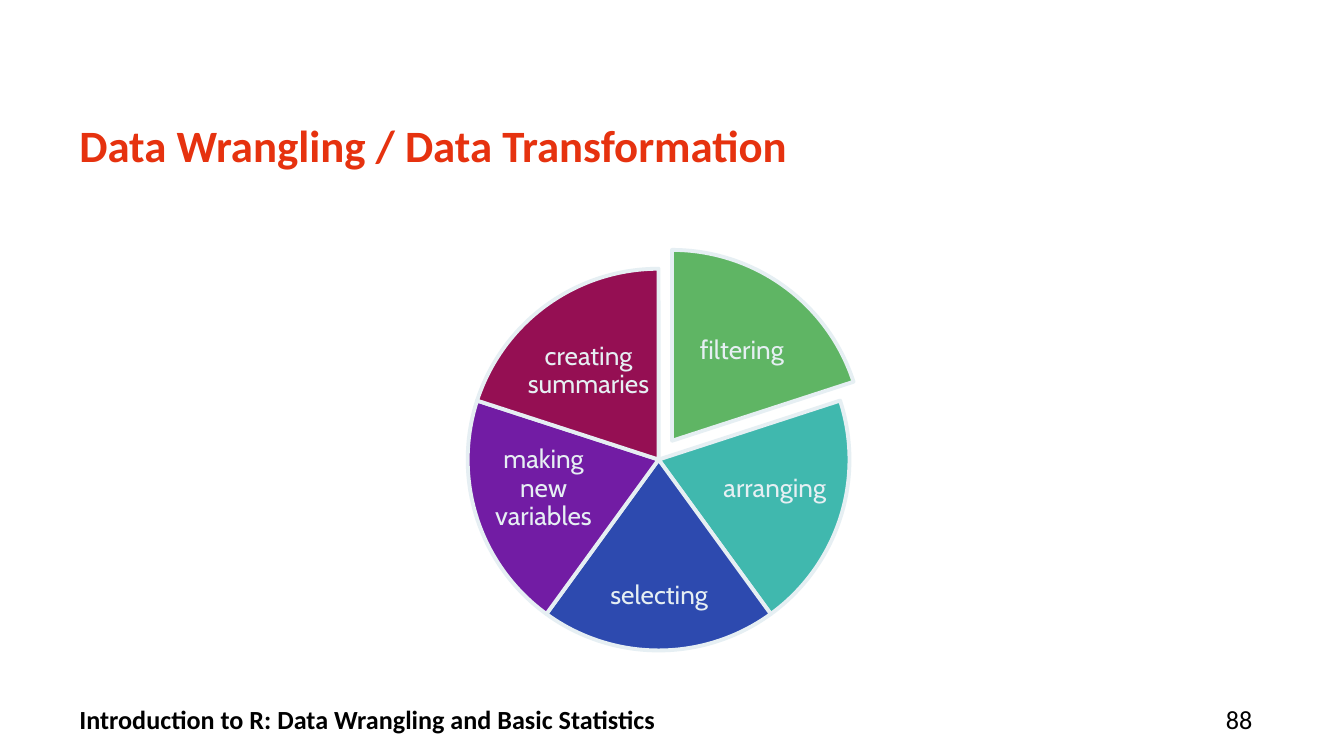
from pptx import Presentation
from pptx.dml.color import RGBColor
from pptx.enum.shapes import MSO_SHAPE
from pptx.enum.text import MSO_ANCHOR, MSO_AUTO_SIZE, PP_ALIGN
from pptx.util import Pt

PIE = MSO_SHAPE.PIE
TOP, MIDDLE = MSO_ANCHOR.TOP, MSO_ANCHOR.MIDDLE
LEFT, CENTER, RIGHT = PP_ALIGN.LEFT, PP_ALIGN.CENTER, PP_ALIGN.RIGHT
NO_AUTOFIT = MSO_AUTO_SIZE.NONE

COLORS = {
    "title": "E6320F",
    "black": "000000",
    "pale": "E6EFF3",
    "green": "5FB564",
    "teal": "40B8AE",
    "blue": "2D4AAF",
    "purple": "721CA4",
    "crimson": "950F53",
}

PIE_LEFT, PIE_TOP, PIE_SIZE = 250.6, 144, 204.5
FIRST_SLICE_SHIFT = (7.2, -10.1)
FOOTER_TOP, FOOTER_HEIGHT = 377.3, 15.8

# label, fill, label box (left, top, width, height)
SLICES = [
    ("filtering", "green", (362.9, 164.2, 69.1, 47.5)),
    ("arranging", "teal", (384.5, 236.2, 61.2, 51.1)),
    ("selecting", "blue", (316.8, 297.4, 72.7, 43.9)),
    ("making new variables", "purple", (260.6, 236.2, 61.2, 51.1)),
    ("creating summaries", "crimson", (280.8, 175, 69.1, 47.5)),
]


def color(name):
    return RGBColor.from_string(COLORS[name])


def write(box, text, size, font, color_name, align, anchor, bold=False, inset=0):
    """Put one formatted paragraph in a box and return the paragraph."""
    frame = box.text_frame
    frame.word_wrap = True
    frame.auto_size = NO_AUTOFIT
    frame.vertical_anchor = anchor
    frame.margin_left = frame.margin_right = Pt(inset)
    frame.margin_top = frame.margin_bottom = Pt(inset)
    para = frame.paragraphs[0]
    para.text = text
    para.alignment = align
    para.font.size = Pt(size)
    para.font.name = font
    para.font.bold = bold
    para.font.color.rgb = color(color_name)
    return para


def add_title(page, text):
    title = page.shapes.title
    title.left, title.top = Pt(42.5), Pt(61.9)
    title.width, title.height = Pt(628.6), Pt(49)
    para = write(title, text, 24, "Calibri", "title", LEFT, TOP, bold=True)
    para.line_spacing = Pt(30)


def add_slice(group, left, top, start, end, fill):
    """Add a pie sector between two clockwise angles in degrees."""
    sector = group.shapes.add_shape(
        PIE, Pt(left), Pt(top), Pt(PIE_SIZE), Pt(PIE_SIZE))
    # Angles are stored in 60000ths of a degree, adjustments in 100000ths.
    sector.adjustments[0] = start % 360 * 0.6
    sector.adjustments[1] = end % 360 * 0.6
    sector.shadow.inherit = False
    sector.fill.solid()
    sector.fill.fore_color.rgb = color(fill)
    sector.line.color.rgb = color("pale")
    sector.line.width = Pt(2.08)


def add_pie(page):
    group = page.shapes.add_group_shape()
    sweep = 360 / len(SLICES)
    for index, (label, fill, label_box) in enumerate(SLICES):
        shift_x, shift_y = FIRST_SLICE_SHIFT if index == 0 else (0, 0)
        start = 270 + index * sweep
        add_slice(group, PIE_LEFT + shift_x, PIE_TOP + shift_y,
                  start, start + sweep, fill)
        box = group.shapes.add_textbox(*map(Pt, label_box))
        para = write(box, label, 14, "Cabin", "pale", CENTER, MIDDLE, inset=1.4)
        para.line_spacing = 0.9


def add_footer(page, text, left, width, align, bold):
    box = page.shapes.add_textbox(
        Pt(left), Pt(FOOTER_TOP), Pt(width), Pt(FOOTER_HEIGHT))
    write(box, text, 14, "Calibri", "black", align, MIDDLE, bold=bold)


def main():
    deck = Presentation()
    deck.slide_width, deck.slide_height = Pt(720), Pt(405)
    page = deck.slides.add_slide(deck.slide_layouts[5])
    add_title(page, "Data Wrangling / Data Transformation")
    add_pie(page)
    add_footer(page, "88", 595.4, 75.6, RIGHT, False)
    add_footer(page, "Introduction to R: Data Wrangling and Basic Statistics",
               42.5, 541.4, LEFT, True)
    deck.save("out.pptx")


if __name__ == "__main__":
    main()
